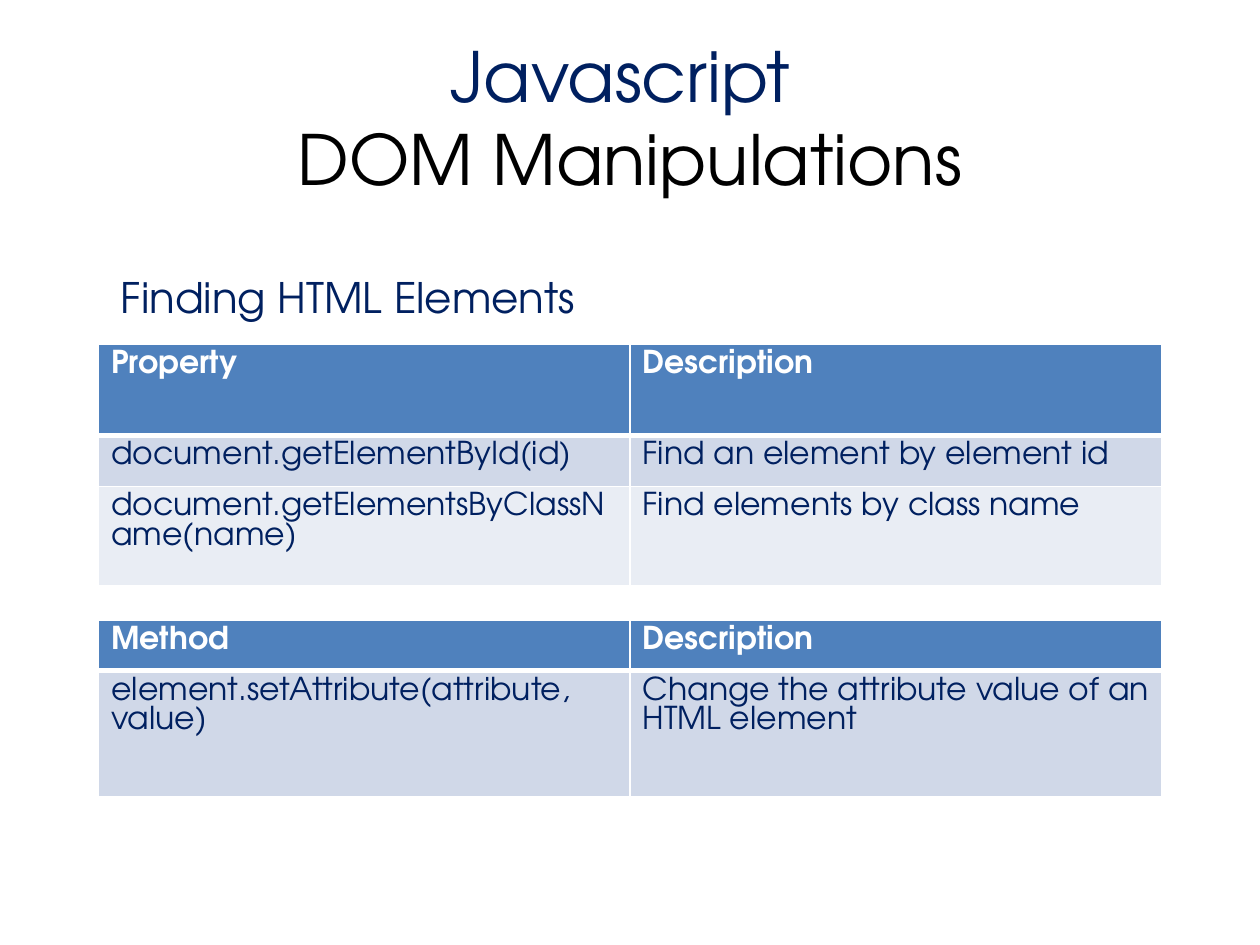
from lxml.etree import SubElement
from pptx import Presentation
from pptx.dml.color import RGBColor
from pptx.enum.text import MSO_ANCHOR, PP_ALIGN
from pptx.oxml.ns import qn
from pptx.util import Pt

FONT = "TeX Gyre Adventor"
NAVY, BLACK, WHITE = "002060", "000000", "FFFFFF"
HEADER_FILL = "4F81BD"
BAND_FILLS = ["D0D8E8", "E9EDF4"]

TITLE = [("Javascript ", NAVY), ("DOM Manipulations", BLACK)]
SUBTITLE = "Finding HTML Elements"
# Each table: top, row heights, rows (the first one is the header)
TABLES = [
    (196.7, [52, 29.2, 57], [
        ("Property", "Description"),
        ("document.getElementById(id)", "Find an element by element id"),
        ("document.getElementsByClassName(name)", "Find elements by class name"),
    ]),
    (354.3, [28.8, 72], [
        ("Method", "Description"),
        ("element.setAttribute(attribute, value)",
         "Change the attribute value of an HTML element"),
    ]),
]
TABLE_LEFT, COLUMN_WIDTH = 56.4, 303.7


def rgb(color):
    return RGBColor.from_string(color)


def set_font(font, size, color, bold=False):
    font.name, font.size, font.bold = FONT, Pt(size), bold
    font.color.rgb = rgb(color)


def add_borders(cell, top, bottom):
    """Draw white cell borders; python-pptx has no method for them."""
    properties = cell._tc.get_or_add_tcPr()
    sides = [("L", 1), ("R", 1), ("T", top), ("B", bottom)]
    for index, (side, width) in enumerate(sides):
        line = SubElement(properties, qn(f"a:ln{side}"), w=str(Pt(width)))
        fill = SubElement(line, qn("a:solidFill"))
        SubElement(fill, qn("a:srgbClr"), val=WHITE)
        properties.insert(index, line)


def add_property_table(slide, top, heights, rows):
    table = slide.shapes.add_table(
        len(rows), len(rows[0]), Pt(TABLE_LEFT), Pt(top),
        Pt(COLUMN_WIDTH * len(rows[0])), Pt(sum(heights))).table
    for column in table.columns:
        column.width = Pt(COLUMN_WIDTH)
    for r, (height, texts) in enumerate(zip(heights, rows)):
        table.rows[r].height = Pt(height)
        header = r == 0
        for c, text in enumerate(texts):
            cell = table.cell(r, c)
            cell.text = text
            set_font(cell.text_frame.paragraphs[0].font, 18,
                     WHITE if header else NAVY, header)
            cell.fill.solid()
            cell.fill.fore_color.rgb = rgb(
                HEADER_FILL if header else BAND_FILLS[(r - 1) % 2])
            add_borders(cell, 3 if r == 1 else 1, 3 if header else 1)


def main():
    deck = Presentation()
    deck.slide_width, deck.slide_height = Pt(720), Pt(540)
    slide = deck.slides.add_slide(deck.slide_layouts[5])

    title = slide.shapes.title
    title.left, title.top, title.width, title.height = Pt(36), Pt(21.6), Pt(648), Pt(90)
    title.text_frame.vertical_anchor = MSO_ANCHOR.MIDDLE
    heading = title.text_frame.paragraphs[0]
    heading.alignment = PP_ALIGN.CENTER
    for index, (text, color) in enumerate(TITLE):
        if index:
            heading.add_line_break()
        run = heading.add_run()
        run.text = text
        set_font(run.font, 39.6, color)

    subtitle = slide.shapes.add_textbox(Pt(61.9), Pt(151.5), Pt(590.4), Pt(36)).text_frame
    subtitle.word_wrap = True
    subtitle.text = SUBTITLE
    set_font(subtitle.paragraphs[0].font, 24, NAVY)

    for top, heights, rows in TABLES:
        add_property_table(slide, top, heights, rows)

    deck.save("out.pptx")


if __name__ == "__main__":
    main()
